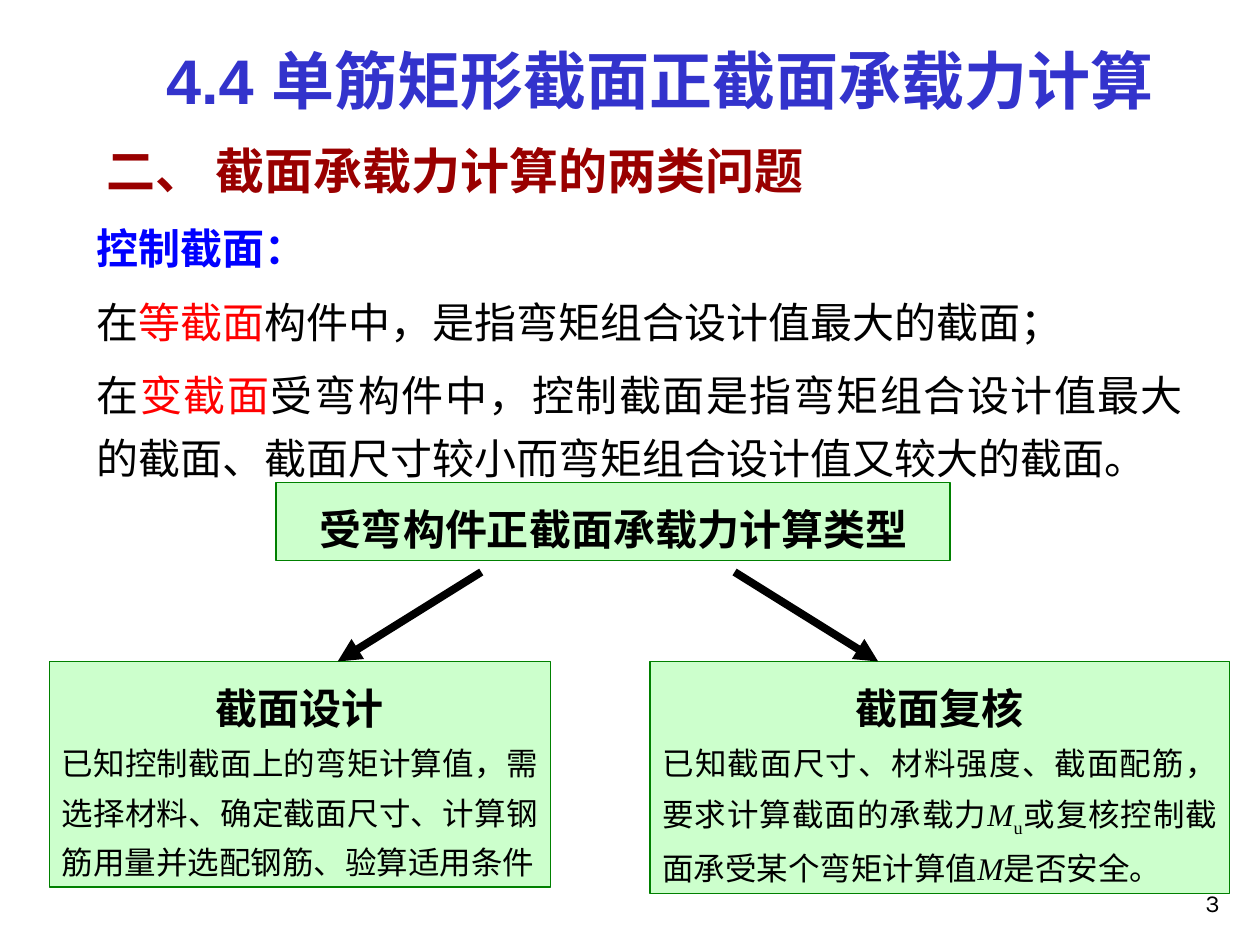
from lxml import etree
from pptx import Presentation
from pptx.dml.color import RGBColor
from pptx.enum.shapes import MSO_CONNECTOR, MSO_SHAPE
from pptx.enum.text import MSO_ANCHOR, PP_ALIGN
from pptx.oxml.ns import qn
from pptx.util import Inches, Pt

LINE, RECT = MSO_CONNECTOR.STRAIGHT, MSO_SHAPE.RECTANGLE
TOP, BOTTOM = MSO_ANCHOR.TOP, MSO_ANCHOR.BOTTOM
LEFT, MID, RIGHT = PP_ALIGN.LEFT, PP_ALIGN.CENTER, PP_ALIGN.RIGHT
JUST = PP_ALIGN.JUSTIFY

BLACK = RGBColor(0x00, 0x00, 0x00)
BLUE = RGBColor(0x00, 0x00, 0xFF)
INDIGO = RGBColor(0x33, 0x33, 0xCC)
MAROON = RGBColor(0x99, 0x00, 0x00)
RED = RGBColor(0xFF, 0x00, 0x00)
GREEN = RGBColor(0x00, 0x80, 0x00)
MINT = RGBColor(0xCC, 0xFF, 0xCC)

SANS, SERIF, HAN, NUM = "Arial", "Times New Roman", "Noto Sans CJK SC", "Karla"

# Grid of 100 columns by 75 rows
W, H = Inches(10), Inches(7.5)
COL, ROW = W / 100, H / 75


def grid(x, y, w, h):
    return round(x * COL), round(y * ROW), round(w * COL), round(h * ROW)


def add_run(para, text, size, face=SANS, color=BLACK, bold=False,
            slant=False, base=None):
    run = para.add_run()
    run.text = text
    font = run.font
    font.size, font.bold, font.italic = Pt(size), bold, slant
    font.color.rgb = color
    font.name = face
    props = run._r.get_or_add_rPr()
    etree.SubElement(props, qn("a:ea"), typeface=HAN)
    if base:
        props.set("baseline", str(base * 1000))


def fill_text(frame, paras, space=1, gap=0, anchor=TOP):
    """Each paragraph is (alignment, list of runs)."""
    frame.word_wrap = True
    frame.vertical_anchor = anchor
    for i, (align, runs) in enumerate(paras):
        para = frame.paragraphs[0] if i == 0 else frame.add_paragraph()
        para.alignment = align
        para.line_spacing = space
        para.space_before = Pt(gap if i else 0)
        for text, size, *style in runs:
            add_run(para, text, size, *style)


def add_text(slide, box, paras, **opts):
    fill_text(slide.shapes.add_textbox(*grid(*box)).text_frame, paras, **opts)


def add_card(slide, box, paras):
    card = slide.shapes.add_shape(RECT, *grid(*box))
    card.shadow.inherit = False
    card.fill.solid()
    card.fill.fore_color.rgb = MINT
    card.line.color.rgb = GREEN
    card.line.width = Pt(0.75)
    fill_text(card.text_frame, paras, space=1.3)


def add_arrow(slide, x1, y1, x2, y2):
    arrow = slide.shapes.add_connector(
        LINE, *grid(x1, y1, x2, y2))
    arrow.line.color.rgb = BLACK
    arrow.line.width = Pt(4.5)
    etree.SubElement(arrow.line._get_or_add_ln(), qn("a:tailEnd"),
                     type="triangle")
    etree.SubElement(arrow._element.spPr, qn("a:effectLst"))


def heading(slide, box):
    x, y, w, h = box
    add_text(slide, (x + 4.7, y, w - 4.7, 7), [
        (LEFT, [("4.4 单筋矩形截面正截面承载力计算", 36, SANS, INDIGO, True)])])
    add_text(slide, (x, y + 7.9, w, 5.7), [
        (LEFT, [("二、 截面承载力计算的两类问题", 28, HAN, MAROON, True)])])


def body(slide, box):
    add_text(slide, box, [
        (JUST, [("控制截面：", 24, SANS, BLUE, True)]),
        (JUST, [("在", 24), ("等截面", 24, SANS, RED),
                ("构件中，是指弯矩组合设计值最大的截面；", 24)]),
        (JUST, [("在", 24), ("变截面", 24, SANS, RED),
                ("受弯构件中，控制截面是指弯矩组合设计值最大的截面、"
                 "截面尺寸较小而弯矩组合设计值又较大的截面。", 24)]),
    ], space=1.25, gap=6)


def flow(slide, box):
    x, y, w, h = box
    low = y + 14.2

    def title(text):
        return MID, [(text, 24, SERIF, BLACK, True)]

    # Root and its two branches
    add_card(slide, (x + 18, y, 53.5, 6.2), [title("受弯构件正截面承载力计算类型")])
    add_card(slide, (x, low, 39.8, 17.9), [
        title("截面设计"),
        (JUST, [("已知控制截面上的弯矩计算值，需选择材料、确定截面尺寸、"
                 "计算钢筋用量并选配钢筋、验算适用条件", 18)])])
    moment = ("M", 18, SERIF, BLACK, False, True)
    add_card(slide, (x + w - 46, low, 46, h - 14.2), [
        title("截面复核"),
        (JUST, [("已知截面尺寸、材料强度、截面配筋，要求计算截面的承载力", 18),
                moment, ("u", 18, SERIF, BLACK, False, False, -25),
                ("或复核控制截面承受某个弯矩计算值", 18),
                moment, ("是否安全。", 18)])])

    # Arrows mirrored about the axis of the root
    axis = x + 44.35
    for side in (1, -1):
        add_arrow(slide, axis + side * 10.05, y + 7.1,
                  axis + side * 21.45, low)


def page_no(slide, box):
    add_text(slide, box, [(RIGHT, [("3", 14, NUM)])], anchor=BOTTOM)


def main():
    deck = Presentation()
    deck.slide_width, deck.slide_height = W, H
    slide = deck.slides.add_slide(deck.slide_layouts[6])
    page_no(slide, (77, 68.3, 20.8, 5))
    body(slide, (6.7, 16.2, 88.2, 22.7))
    heading(slide, (7.5, 2.8, 92.5, 13.6))
    flow(slide, (3.9, 38.3, 93.7, 32.6))
    deck.save("out.pptx")


if __name__ == "__main__":
    main()
